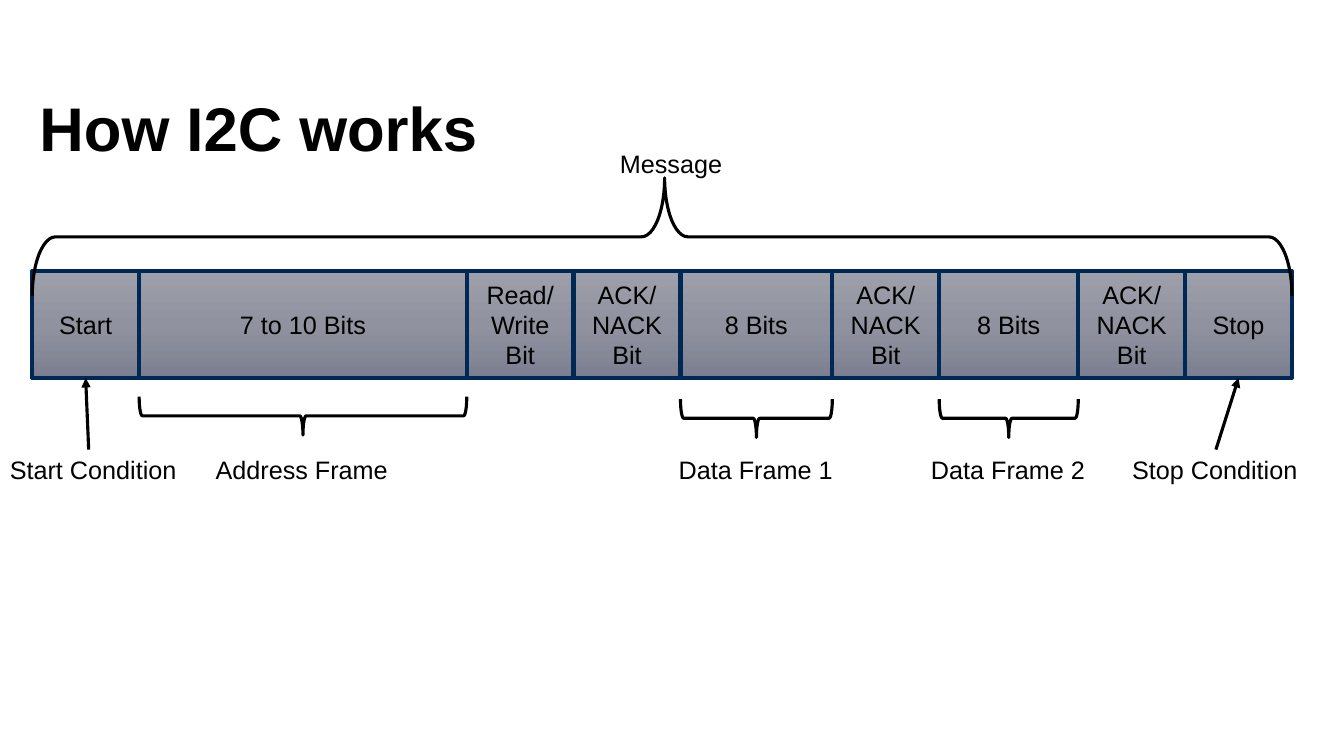
import copy
import itertools
from dataclasses import dataclass

import lxml.etree
import pptx
import pptx.dml.color
import pptx.enum.shapes
import pptx.enum.text
import pptx.oxml.ns
import pptx.shapes.autoshape
import pptx.slide
import pptx.text.text
import pptx.util

BLACK = pptx.dml.color.RGBColor(0x00, 0x00, 0x00)
NAVY = pptx.dml.color.RGBColor(0x00, 0x28, 0x55)
LIGHT_GREY = pptx.dml.color.RGBColor(0x9D, 0xA0, 0xAB)
MID_GREY = pptx.dml.color.RGBColor(0x90, 0x93, 0x9F)
DARK_GREY = pptx.dml.color.RGBColor(0x7C, 0x7F, 0x8F)

SLIDE_WIDTH = pptx.util.Inches(13.33)
SLIDE_HEIGHT = pptx.util.Inches(7.5)
FONT = "Arial"

# Shares of the slide are percentages of its width or height.
FRAME_LEFT = 2.4
FRAME_TOP = 35.87
FRAME_HEIGHT = 14.13
FRAME_BOTTOM = FRAME_TOP + FRAME_HEIGHT
BIT_WIDTH = 7.95
LABEL_TOP = 59.47
LABEL_HEIGHT = 5.33
BRACE_HEIGHT = 5.07


@dataclass(frozen=True)
class Field:
    text: str
    width: float = BIT_WIDTH


@dataclass(frozen=True)
class Brace:
    left: float
    width: float
    top: float
    height: float = BRACE_HEIGHT
    rotation: int = 90
    adjustments: tuple[float, ...] = ()

    @property
    def centre(self) -> float:
        return self.left + self.width / 2


@dataclass(frozen=True)
class Label:
    text: str
    centre: float
    width: float
    top: float = LABEL_TOP


@dataclass(frozen=True)
class Arrow:
    tail_x: float
    head_x: float


FIELDS = [
    Field("Start"),
    Field("7 to 10 Bits", 24.38),
    Field("Read/Write Bit"),
    Field("ACK/NACK Bit"),
    Field("8 Bits", 11.3),
    Field("ACK/NACK Bit"),
    Field("8 Bits", 10.35),
    Field("ACK/NACK Bit"),
    Field("Stop"),
]
EDGES = list(itertools.accumulate((field.width for field in FIELDS), initial=FRAME_LEFT))


def across(share: float) -> int:
    return round(SLIDE_WIDTH * share / 100)


def down(share: float) -> int:
    return round(SLIDE_HEIGHT * share / 100)


def brace_under(index: int, top: float) -> Brace:
    return Brace(EDGES[index], FIELDS[index].width, top)


def style_text(paragraph: pptx.text.text._Paragraph, size: int, bold: bool = False) -> None:
    for run in paragraph.runs:
        run.font.name = FONT
        run.font.size = pptx.util.Pt(size)
        run.font.bold = bold
        run.font.color.rgb = BLACK


def draw_title(slide: pptx.slide.Slide, text: str) -> None:
    title = slide.shapes.add_textbox(across(2.93), down(13.07), across(73.8), down(20))
    frame = title.text_frame
    frame.word_wrap = True
    frame.margin_left = frame.margin_right = frame.margin_top = frame.margin_bottom = 0
    frame.text = text
    frame.paragraphs[0].line_spacing = 0.9
    style_text(frame.paragraphs[0], 44, bold=True)


def shade(box: pptx.shapes.autoshape.Shape) -> None:
    box.fill.gradient()
    box.fill.gradient_angle = 270
    stop_list = box.element.spPr.find(".//" + pptx.oxml.ns.qn("a:gsLst"))
    stop_list.insert(1, copy.deepcopy(stop_list[0]))
    shades = zip(box.fill.gradient_stops, (0, 0.5, 1), (LIGHT_GREY, MID_GREY, DARK_GREY))
    for stop, position, colour in shades:
        stop.position = position
        stop.color.rgb = colour


def draw_field(slide: pptx.slide.Slide, field: Field, left: float) -> None:
    box = slide.shapes.add_shape(
        pptx.enum.shapes.MSO_SHAPE.RECTANGLE,
        across(left), down(FRAME_TOP), across(field.width), down(FRAME_HEIGHT),
    )
    box.shadow.inherit = False
    shade(box)
    box.line.color.rgb = NAVY
    box.line.width = pptx.util.Pt(3)
    frame = box.text_frame
    frame.word_wrap = True
    frame.vertical_anchor = pptx.enum.text.MSO_ANCHOR.MIDDLE
    frame.text = field.text
    frame.paragraphs[0].alignment = pptx.enum.text.PP_ALIGN.CENTER
    style_text(frame.paragraphs[0], 18)


def draw_brace(slide: pptx.slide.Slide, brace: Brace) -> None:
    span, depth = across(brace.width), down(brace.height)
    middle_x = across(brace.centre)
    middle_y = down(brace.top + brace.height / 2)
    outline = slide.shapes.add_shape(
        pptx.enum.shapes.MSO_SHAPE.RIGHT_BRACE,
        middle_x - depth // 2, middle_y - span // 2, depth, span,
    )
    outline.rotation = brace.rotation
    for index, value in enumerate(brace.adjustments):
        outline.adjustments[index] = value
    outline.shadow.inherit = False
    outline.fill.background()
    outline.line.color.rgb = BLACK
    outline.line.width = pptx.util.Pt(2.25)


def draw_label(slide: pptx.slide.Slide, label: Label) -> None:
    caption = slide.shapes.add_textbox(
        across(label.centre - label.width / 2), down(label.top),
        across(label.width), down(LABEL_HEIGHT),
    )
    frame = caption.text_frame
    frame.word_wrap = False
    frame.auto_size = pptx.enum.text.MSO_AUTO_SIZE.SHAPE_TO_FIT_TEXT
    frame.text = label.text
    style_text(frame.paragraphs[0], 18)


def draw_arrow(slide: pptx.slide.Slide, arrow: Arrow) -> None:
    pointer = slide.shapes.add_connector(
        pptx.enum.shapes.MSO_CONNECTOR.STRAIGHT,
        across(arrow.tail_x), down(LABEL_TOP), across(arrow.head_x), down(FRAME_BOTTOM),
    )
    pointer.line.color.rgb = BLACK
    pointer.line.width = pptx.util.Pt(2.25)
    line = pointer.line._get_or_add_ln()
    lxml.etree.SubElement(line, pptx.oxml.ns.qn("a:tailEnd"), type="triangle")
    lxml.etree.SubElement(pointer.element.spPr, pptx.oxml.ns.qn("a:effectLst"))


def main() -> None:
    presentation = pptx.Presentation()
    presentation.slide_width, presentation.slide_height = SLIDE_WIDTH, SLIDE_HEIGHT
    slide = presentation.slides.add_slide(presentation.slide_layouts[6])

    message = Brace(FRAME_LEFT, EDGES[-1] - FRAME_LEFT, 23.53, 15.6, 270, (0.197, 0.502))
    address = brace_under(1, 52.47)
    first_data, second_data = brace_under(4, 52.8), brace_under(6, 52.8)
    labels = [
        Label("Message", 50, 9.23, 18.93),
        Label("Start Condition", 7.01, 14.03),
        Label("Address Frame", address.centre, 14.48),
        Label("Data Frame 1", first_data.centre, 13.05),
        Label("Data Frame 2", second_data.centre, 13.05),
        Label("Stop Condition", 90.47, 13.95),
    ]
    arrows = [
        Arrow(6.6, EDGES[0] + BIT_WIDTH / 2),
        Arrow(90.47, EDGES[-1] - BIT_WIDTH / 2),
    ]

    draw_title(slide, "How I2C works")
    for field, left in zip(FIELDS, EDGES):
        draw_field(slide, field, left)
    for brace in (message, address, first_data, second_data):
        draw_brace(slide, brace)
    for label in labels:
        draw_label(slide, label)
    for arrow in arrows:
        draw_arrow(slide, arrow)
    presentation.save("out.pptx")


if __name__ == "__main__":
    main()
